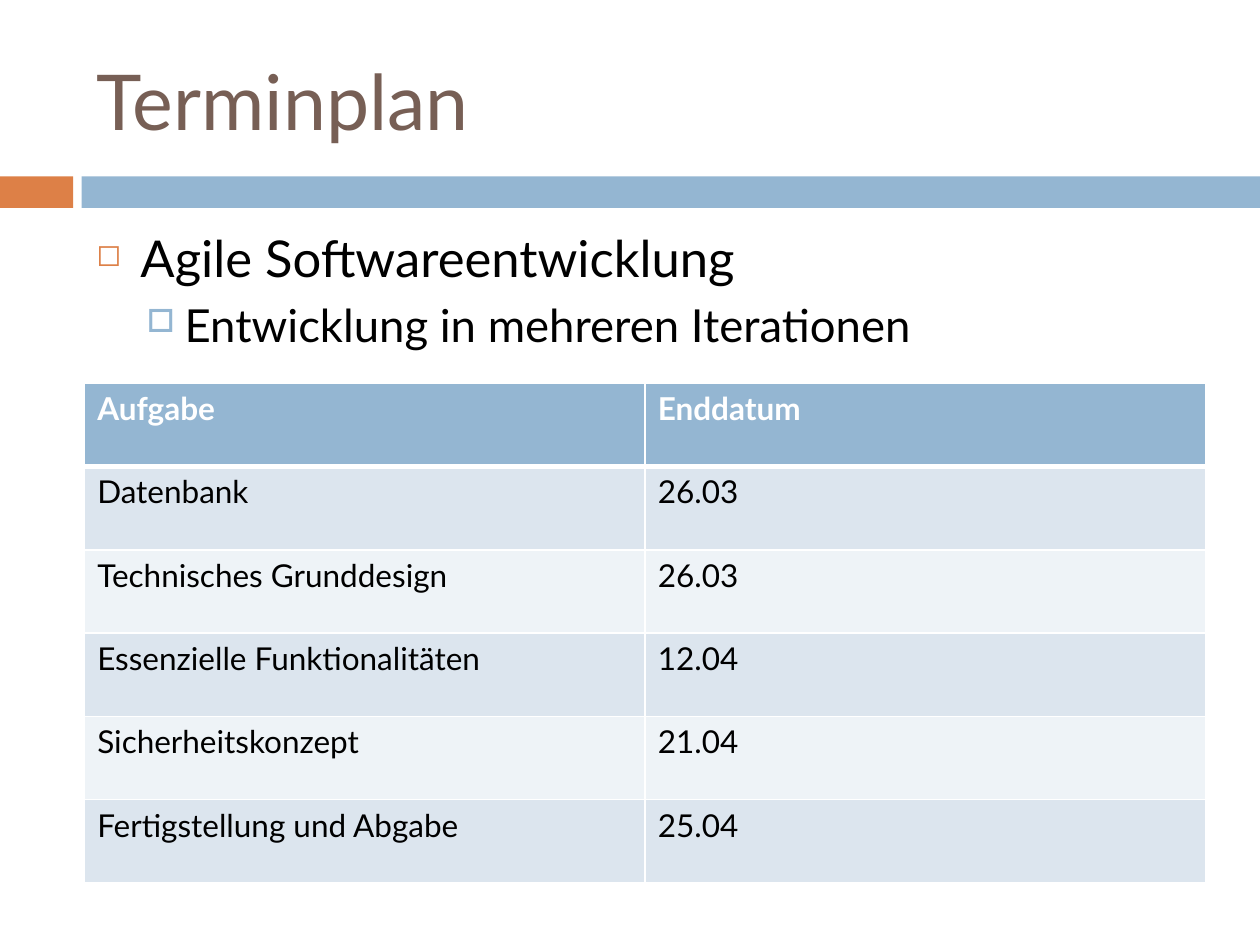
from lxml.etree import SubElement
from pptx import Presentation
from pptx.dml.color import RGBColor
from pptx.enum.shapes import MSO_SHAPE
from pptx.enum.text import MSO_ANCHOR, PP_ALIGN
from pptx.oxml.ns import qn
from pptx.util import Pt

FONT = "Lato"
ORANGE = RGBColor(0xDD, 0x80, 0x47)
BLUE = RGBColor(0x94, 0xB6, 0xD2)
BROWN = RGBColor(0x77, 0x5F, 0x55)
DARK = RGBColor(0xDC, 0xE5, 0xEE)
LIGHT = RGBColor(0xEE, 0xF3, 0xF7)
WHITE = RGBColor(0xFF, 0xFF, 0xFF)
BLACK = RGBColor(0, 0, 0)

TASKS = [
    ("Aufgabe", "Enddatum"),
    ("Datenbank", "26.03"),
    ("Technisches Grunddesign", "26.03"),
    ("Essenzielle Funktionalitäten", "12.04"),
    ("Sicherheitskonzept", "21.04"),
    ("Fertigstellung und Abgabe", "25.04"),
]
POINTS = [
    ("Agile Softwareentwicklung", 29, 25.2, 25.2, 7, "◻", ORANGE, 60),
    ("Entwicklung in mehreren Iterationen", 26, 50.4, 21.6, 5.5, "□", BLUE, 70),
]


def add_run(para, text, size, color, bold=False):
    run = para.add_run()
    run.text = text
    font = run.font
    font.name, font.size, font.bold = FONT, Pt(size), bold
    font.color.rgb = color


def add_band(slide, left, top, width, height):
    split, gap = 41.9, 4.7
    start = split + gap
    for x, w, color in ((left, split, ORANGE), (left + start, width - start, BLUE)):
        bar = slide.shapes.add_shape(
            MSO_SHAPE.RECTANGLE, Pt(x), Pt(top), Pt(w), Pt(height))
        bar.shadow.inherit = False
        bar.fill.solid()
        bar.fill.fore_color.rgb = color
        bar.line.fill.background()


def set_title(slide, left, top, width, height):
    title = slide.shapes.title
    title.left, title.top = Pt(left), Pt(top)
    title.width, title.height = Pt(width), Pt(height)
    frame = title.text_frame
    frame.vertical_anchor = MSO_ANCHOR.MIDDLE
    para = frame.paragraphs[0]
    para.alignment = PP_ALIGN.LEFT
    add_run(para, "Terminplan", 44, BROWN)


def set_bullet(para, indent, hang, char, color, scale):
    props = para._p.get_or_add_pPr()
    props.set("marL", str(Pt(indent)))
    props.set("indent", str(-Pt(hang)))
    tint = SubElement(props, qn("a:buClr"))
    SubElement(tint, qn("a:srgbClr"), val=str(color))
    SubElement(props, qn("a:buSzPct"), val=str(scale * 1000))
    SubElement(props, qn("a:buChar"), char=char)


def add_points(slide, left, top, width, height):
    box = slide.shapes.add_textbox(Pt(left), Pt(top), Pt(width), Pt(height))
    frame = box.text_frame
    frame.word_wrap = True
    for i, (text, size, indent, hang, space, char, color, scale) in enumerate(POINTS):
        para = frame.add_paragraph() if i else frame.paragraphs[0]
        para.level = i
        para.space_before = Pt(space)
        set_bullet(para, indent, hang, char, color, scale)
        add_run(para, text, size, BLACK)


def set_edges(cell, top, bottom):
    props = cell._tc.get_or_add_tcPr()
    for side, width in (("L", 1), ("R", 1), ("T", top), ("B", bottom)):
        line = SubElement(props, qn("a:ln" + side), w=str(Pt(width)))
        fill = SubElement(line, qn("a:solidFill"))
        SubElement(fill, qn("a:srgbClr"), val=str(WHITE))


def add_plan(slide, left, top, width, height):
    count, cols = len(TASKS), len(TASKS[0])
    table = slide.shapes.add_table(
        count, cols, Pt(left), Pt(top), Pt(width), Pt(height)).table
    for col in table.columns:
        col.width = Pt(width / cols)
    for r, task in enumerate(TASKS):
        table.rows[r].height = Pt(height / count)
        head = r == 0
        shade = BLUE if head else DARK if r % 2 else LIGHT
        for c, text in enumerate(task):
            cell = table.cell(r, c)
            set_edges(cell, 3 if r == 1 else 1, 3 if head else 1)
            cell.fill.solid()
            cell.fill.fore_color.rgb = shade
            add_run(cell.text_frame.paragraphs[0], text, 18,
                    WHITE if head else BLACK, head)


def main():
    deck = Presentation()
    deck.slide_width, deck.slide_height = Pt(720), Pt(540)
    slide = deck.slides.add_slide(deck.slide_layouts[5])
    add_band(slide, 0, 100.8, 720, 18)
    set_title(slide, 48, 18, 642, 78)
    add_points(slide, 48, 126, 642, 354)
    add_plan(slide, 48.4, 219, 640.6, 285.6)
    deck.save("out.pptx")


if __name__ == "__main__":
    main()
